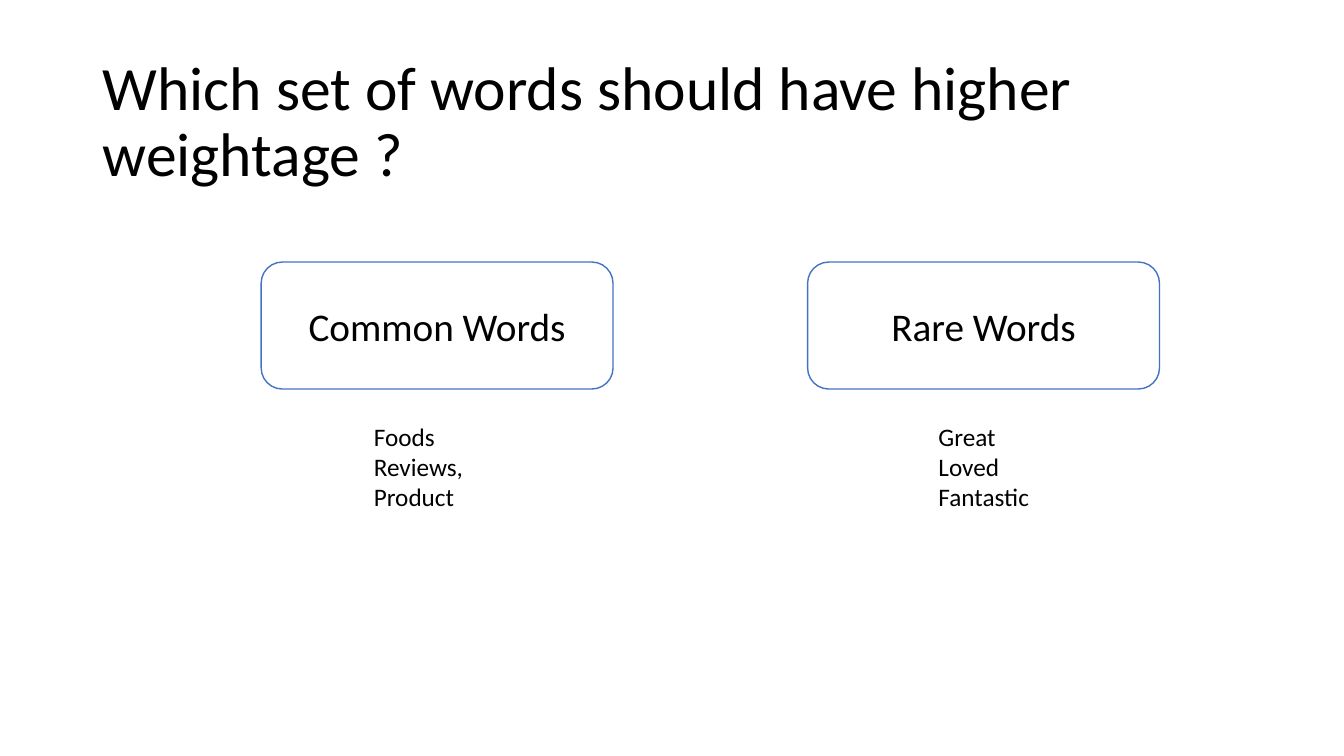
from pptx import Presentation
from pptx.dml.color import RGBColor
from pptx.enum.shapes import MSO_SHAPE
from pptx.enum.text import MSO_ANCHOR, PP_ALIGN
from pptx.util import Inches, Pt

ROUNDED = MSO_SHAPE.ROUNDED_RECTANGLE
TOP, MIDDLE = MSO_ANCHOR.TOP, MSO_ANCHOR.MIDDLE
LEFT, CENTER = PP_ALIGN.LEFT, PP_ALIGN.CENTER

TITLE = "Which set of words should have higher weightage ?"
WORD_SETS = [
    {"heading": "Common Words", "words": ["Foods", "Reviews,", "Product"],
     "heading_left": 2.59, "words_left": 3.61},
    {"heading": "Rare Words", "words": ["Great", "Loved", "Fantastic"],
     "heading_left": 8.01, "words_left": 9.21},
]
COLORS = {"text": "000000", "fill": "FFFFFF", "outline": "4472C4"}
FONT = "Calibri"
HEADING_TOP, HEADING_WIDTH, HEADING_HEIGHT = 2.6, 3.49, 1.26
WORDS_TOP, WORDS_WIDTH, WORDS_HEIGHT = 4.13, 1.1, 1.31


def color(name):
    return RGBColor.from_string(COLORS[name])


def write(holder, lines, size, align=LEFT, anchor=TOP, wrap=True, spacing=None):
    frame = holder.text_frame
    frame.word_wrap = wrap
    frame.vertical_anchor = anchor
    frame.text = "\n".join(lines)
    for paragraph in frame.paragraphs:
        paragraph.alignment = align
        paragraph.line_spacing = spacing
        for run in paragraph.runs:
            run.font.name = FONT
            run.font.size = Pt(size)
            run.font.color.rgb = color("text")


def main():
    deck = Presentation()
    deck.slide_width, deck.slide_height = Inches(13.33), Inches(7.5)
    slide = deck.slides.add_slide(deck.slide_layouts[6])
    shapes = slide.shapes

    title = shapes.add_textbox(Inches(0.92), Inches(0.5), Inches(11.5), Inches(1.45))
    write(title, [TITLE], size=44, anchor=MIDDLE, spacing=0.9)

    for word_set in WORD_SETS:
        heading = shapes.add_shape(
            ROUNDED, Inches(word_set["heading_left"]), Inches(HEADING_TOP),
            Inches(HEADING_WIDTH), Inches(HEADING_HEIGHT))
        heading.shadow.inherit = False
        heading.fill.solid()
        heading.fill.fore_color.rgb = color("fill")
        heading.line.color.rgb = color("outline")
        heading.line.width = Pt(1)
        write(heading, [word_set["heading"]], size=28, align=CENTER, anchor=MIDDLE)

        words = shapes.add_textbox(
            Inches(word_set["words_left"]), Inches(WORDS_TOP),
            Inches(WORDS_WIDTH), Inches(WORDS_HEIGHT))
        write(words, word_set["words"], size=18, wrap=False)

    deck.save("out.pptx")


if __name__ == "__main__":
    main()
